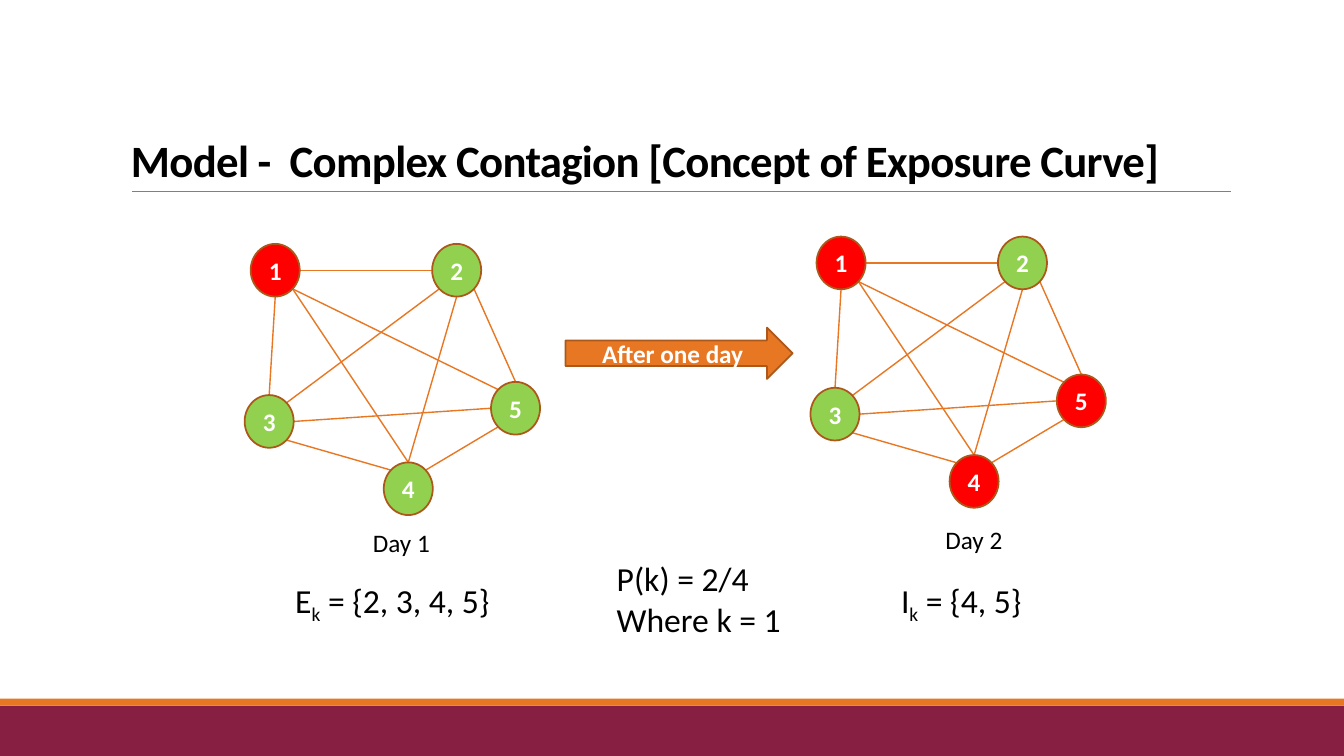
from lxml.etree import SubElement
from pptx import Presentation
from pptx.dml.color import RGBColor
from pptx.enum.shapes import MSO_CONNECTOR, MSO_SHAPE
from pptx.enum.text import MSO_ANCHOR, MSO_AUTO_SIZE, PP_ALIGN
from pptx.oxml.ns import qn
from pptx.util import Inches, Pt

COLORS = {
    "maroon": "861F41", "orange": "E87723", "outline": "AC581A", "rule": "808080",
    "infected": "FF0000", "healthy": "92D050", "text": "000000", "light": "FFFFFF",
}

# Node centres, sizes and all other lengths are percentages of the slide.
NODES = {1: (20.48, 35.75), 2: (33.98, 35.75), 3: (20.03, 55.75),
         4: (30.38, 64.65), 5: (38.36, 54)}
NODE_W, NODE_H = 3.65, 6.97
EDGES = [
    (1, "S", 3, "N"), (1, "E", 2, "W"), (2, "SE", 5, "N"), (4, "NE", 5, "SW"),
    (3, "SE", 4, "NW"), (3, "NE", 2, "SW"), (1, "SE", 4, "N"), (1, "SE", 5, "NW"),
    (2, "S", 4, "N"), (5, "W", 3, "E"),
]


class SlideBuilder:
    font = "Calibri"

    def __init__(self, prs):
        self.w, self.h = prs.slide_width, prs.slide_height
        self.s = prs.slides.add_slide(prs.slide_layouts[6])

    def x(self, share):
        return round(self.w * share / 100)

    def y(self, share):
        return round(self.h * share / 100)

    def box(self, left, top, width, height):
        return self.x(left), self.y(top), self.x(width), self.y(height)

    def run(self, p, text, size, color, bold=False, baseline=0, spacing=0):
        """Baseline is in percent, spacing in points."""
        r = p.add_run()
        r.text = text
        r.font.name, r.font.size, r.font.bold = self.font, Pt(size), bold
        r.font.color.rgb = RGBColor.from_string(COLORS[color])
        rPr = r._r.get_or_add_rPr()
        if baseline:
            rPr.set("baseline", str(baseline * 1000))
        if spacing:
            rPr.set("spc", str(round(spacing * 100)))

    def shape(self, kind, box, fill, outline=None, label=None):
        sp = self.s.shapes.add_shape(kind, *self.box(*box))
        sp.shadow.inherit = False
        sp.fill.solid()
        sp.fill.fore_color.rgb = RGBColor.from_string(COLORS[fill])
        if outline:
            sp.line.color.rgb = RGBColor.from_string(COLORS[outline])
            sp.line.width = Pt(1.25)
        else:
            sp.line.fill.background()
        if label:
            tf = sp.text_frame
            tf.vertical_anchor = MSO_ANCHOR.MIDDLE
            p = tf.paragraphs[0]
            p.alignment = PP_ALIGN.CENTER
            self.run(p, label, 18, "light", bold=True)

    def line(self, start, end, color, width):
        cxn = self.s.shapes.add_connector(
            MSO_CONNECTOR.STRAIGHT, self.x(start[0]), self.y(start[1]),
            self.x(end[0]), self.y(end[1]))
        cxn.line.color.rgb = RGBColor.from_string(COLORS[color])
        cxn.line.width = Pt(width)
        SubElement(cxn._element.spPr, qn("a:effectLst"))

    def title(self, text, box):
        tf = self.s.shapes.add_textbox(*self.box(*box)).text_frame
        tf.word_wrap = True
        tf.vertical_anchor = MSO_ANCHOR.BOTTOM
        p = tf.paragraphs[0]
        p.line_spacing = 0.85
        self.run(p, text, 32, "text", bold=True, spacing=-0.5)

    def note(self, paragraphs, box, size):
        """Each paragraph is a list of (text, baseline) runs."""
        tf = self.s.shapes.add_textbox(*self.box(*box)).text_frame
        tf.word_wrap = False
        tf.auto_size = MSO_AUTO_SIZE.SHAPE_TO_FIT_TEXT
        for i, runs in enumerate(paragraphs):
            p = tf.add_paragraph() if i else tf.paragraphs[0]
            for text, baseline in runs:
                self.run(p, text, size, "text", baseline=baseline)

    def network(self, dx, dy, infected):
        centres = {n: (cx + dx, cy + dy) for n, (cx, cy) in NODES.items()}
        for a, side_a, b, side_b in EDGES:
            self.line(rim(centres[a], side_a), rim(centres[b], side_b), "orange", 1)
        for n, (cx, cy) in centres.items():
            self.shape(MSO_SHAPE.OVAL, (cx - NODE_W / 2, cy - NODE_H / 2, NODE_W, NODE_H),
                       "infected" if n in infected else "healthy", "outline", str(n))


def rim(centre, side):
    """Point on a node's outline in a compass direction."""
    reach = 0.5 if len(side) == 1 else 0.5 * 0.5 ** 0.5
    dx = ("E" in side) - ("W" in side)
    dy = ("S" in side) - ("N" in side)
    return centre[0] + dx * reach * NODE_W, centre[1] + dy * reach * NODE_H


def main():
    prs = Presentation()
    prs.slide_width, prs.slide_height = Inches(13.33), Inches(7.5)
    s = SlideBuilder(prs)

    s.shape(MSO_SHAPE.RECTANGLE, (0, 93.33, 100, 6.67), "maroon")
    s.shape(MSO_SHAPE.RECTANGLE, (0, 92.4, 100, 0.93), "orange")
    s.line((9.83, 25.33), (91.6, 25.33), "rule", 0.5)
    s.title("Model -  Complex Contagion [Concept of Exposure Curve]", (9, 10.53, 82.5, 14.8))

    s.network(0, 0, {1})
    s.network(42.1, -0.97, {1, 4, 5})
    s.shape(MSO_SHAPE.RIGHT_ARROW, (42.08, 43.33, 16.9, 6.8), "orange", "outline",
            "After one day")

    s.note([[("Day 1", 0)]], (27, 69.07, 5.78, 5.33), 18)
    s.note([[("Day 2", 0)]], (69.6, 68.67, 5.78, 5.33), 18)
    s.note([[("E", 0), ("k", -25), (" = {2, 3, 4, 5}", 0)]], (21.23, 76, 16.58, 6.67), 24)
    s.note([[("I", 0), ("k", -25), (" = {4, 5}", 0)]], (66.3, 76, 11.03, 6.67), 24)
    s.note([[("P(k) = 2/4", 0)], [("Where k = 1", 0)]], (45.15, 73.2, 13.88, 12.13), 24)

    prs.save("out.pptx")


if __name__ == "__main__":
    main()
